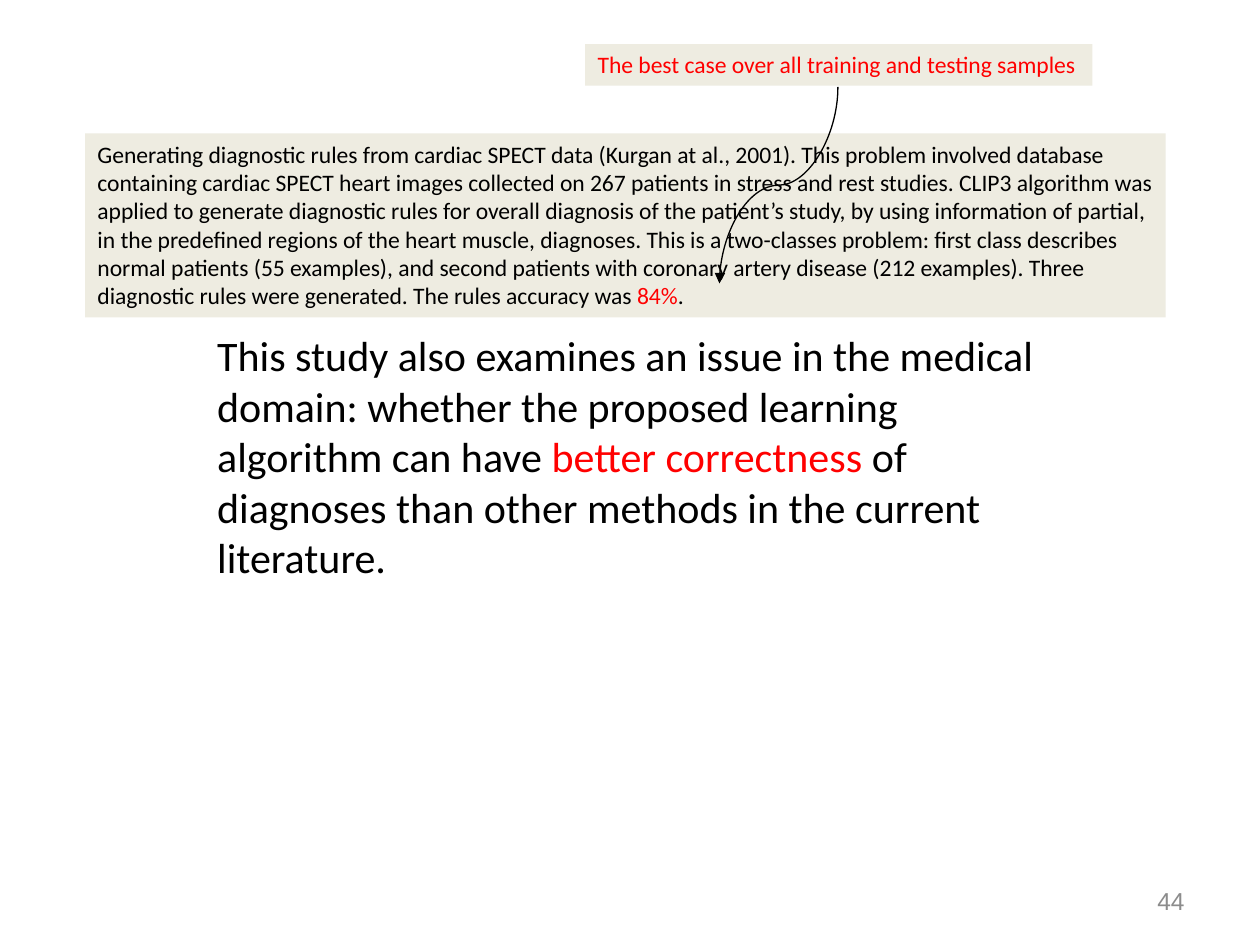
import dataclasses

import pptx
import pptx.dml.color
import pptx.enum.shapes
import pptx.enum.text
import pptx.oxml
import pptx.oxml.ns
import pptx.util

COLUMNS, ROWS = 40, 30
CELL = pptx.util.Inches(0.25)


@dataclasses.dataclass(frozen=True)
class Theme:
    font: str = "Calibri"
    number_font: str = "Arial"
    ink: str = "000000"
    accent: str = "FF0000"
    panel: str = "EEECE1"
    muted: str = "8C8C8C"
    body_size: float = 24
    panel_size: float = 13.5
    number_size: float = 14
    line_width: float = 0.75


THEME = Theme()
ALIGN = pptx.enum.text.PP_ALIGN
ANCHOR = pptx.enum.text.MSO_ANCHOR

CASE = (
    ("Generating diagnostic rules from cardiac SPECT data (Kurgan at al., 2001). "
     "This problem involved database containing cardiac SPECT heart images "
     "collected on 267 patients in stress and rest studies. CLIP3 algorithm was "
     "applied to generate diagnostic rules for overall diagnosis of the patient’s "
     "study, by using information of partial, in the predefined regions of the "
     "heart muscle, diagnoses. This is a two-classes problem: first class describes "
     "normal patients (55 examples), and second patients with coronary artery "
     "disease (212 examples). Three diagnostic rules were generated. The rules "
     "accuracy was ", THEME.ink),
    ("84%", THEME.accent),
    (".", THEME.ink),
)
AIM = (
    ("This study also examines an issue in the medical domain: whether the proposed "
     "learning algorithm can have ", THEME.ink),
    ("better correctness ", THEME.accent),
    ("of diagnoses than other methods in the current literature.", THEME.ink),
)
BEST_CASE = (("The best case over all training and testing samples", THEME.accent),)


def cells(*counts):
    """Turn counts of grid cells into lengths."""
    return [round(n * CELL) for n in counts]


def rgb(value):
    return pptx.dml.color.RGBColor.from_string(value)


def write(s, runs, size, font=THEME.font, align=ALIGN.LEFT, anchor=ANCHOR.TOP):
    """Fill a shape with one paragraph of (text, colour) runs."""
    tf = s.text_frame
    tf.word_wrap = True
    tf.vertical_anchor = anchor
    p = tf.paragraphs[0]
    p.alignment = align
    p.font.name = font
    p.font.size = pptx.util.Pt(size)
    for text, color in runs:
        r = p.add_run()
        r.text = text
        r.font.color.rgb = rgb(color)


def add_text(slide, box, runs, size, **style):
    write(slide.shapes.add_textbox(*cells(*box)), runs, size, **style)


def add_panel(slide, box, runs):
    s = slide.shapes.add_shape(
        pptx.enum.shapes.MSO_SHAPE.RECTANGLE, *cells(*box))
    s.shadow.inherit = False
    s.fill.solid()
    s.fill.fore_color.rgb = rgb(THEME.panel)
    s.line.fill.background()
    write(s, runs, THEME.panel_size)


def add_curved_arrow(slide, start, end):
    """Draw an S-curve that leaves downwards: a sideways curve turned by 90°."""
    (x1, y1), (x2, y2) = start, end
    mid_x, mid_y = (x1 + x2) / 2, (y1 + y2) / 2
    half_w, half_h = (y2 - y1) / 2, (x1 - x2) / 2
    s = slide.shapes.add_connector(
        pptx.enum.shapes.MSO_CONNECTOR.CURVE,
        *cells(mid_x - half_w, mid_y - half_h, mid_x + half_w, mid_y + half_h))
    s.line.color.rgb = rgb(THEME.ink)
    s.line.width = pptx.util.Pt(THEME.line_width)
    props = s.element.spPr
    props.find(pptx.oxml.ns.qn("a:xfrm")).set("rot", str(90 * 60000))
    space = pptx.oxml.ns.nsdecls("a")
    props.find(pptx.oxml.ns.qn("a:ln")).append(
        pptx.oxml.parse_xml(f'<a:tailEnd {space} type="triangle"/>'))
    props.append(pptx.oxml.parse_xml(f"<a:effectLst {space}/>"))


def main():
    prs = pptx.Presentation()
    prs.slide_width, prs.slide_height = cells(COLUMNS, ROWS)
    slide = prs.slides.add_slide(prs.slide_layouts[6])

    add_text(slide, (6.5, 10.28, 27, 8.64), AIM, THEME.body_size)
    add_panel(slide, (2.7, 4.24, 34.3, 5.84), CASE)
    add_panel(slide, (18.58, 1.4, 16.1, 1.32), BEST_CASE)
    add_curved_arrow(slide, (26.6, 2.76), (22.84, 9))
    add_text(slide, (28.68, 27.8, 9.32, 1.6), (("44", THEME.muted),),
             THEME.number_size, font=THEME.number_font,
             align=ALIGN.RIGHT, anchor=ANCHOR.MIDDLE)

    prs.save("out.pptx")


if __name__ == "__main__":
    main()
